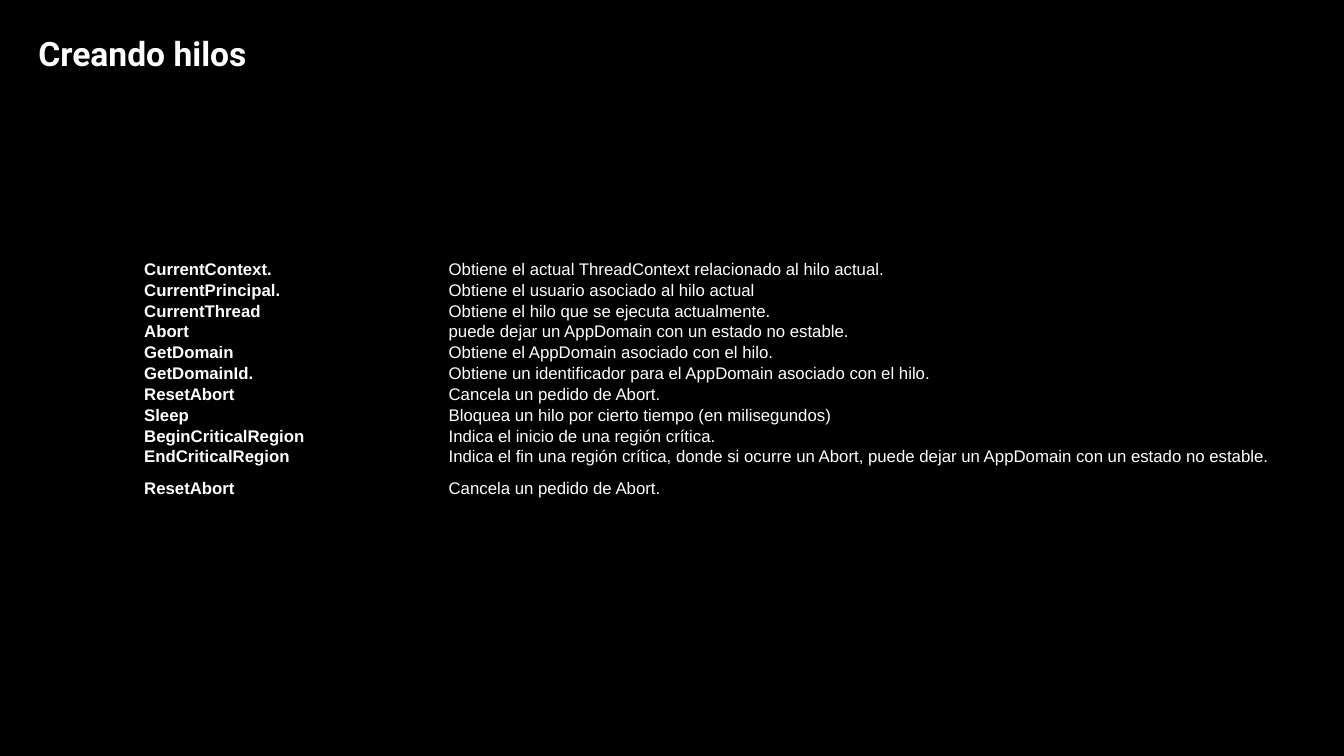
"""Build a slide that lists the thread members and what each one does."""
import dataclasses
import typing

import pptx
import pptx.dml.color
import pptx.enum.text
import pptx.oxml.ns
import pptx.presentation
import pptx.slide
import pptx.text.text
import pptx.util

Inches = pptx.util.Inches
BLACK = pptx.dml.color.RGBColor(0x00, 0x00, 0x00)
WHITE = pptx.dml.color.RGBColor(0xFF, 0xFF, 0xFF)
PLAIN_TABLE_STYLE = "{2D5ABB26-0587-4C30-8999-92F81FD0307C}"

TABLE_LEFT, TABLE_TOP = Inches(1.43), Inches(2.58)
TABLE_HEIGHT = Inches(2.38)
COLUMN_WIDTHS = (Inches(3.02), Inches(8.88))
TALL_ROW = 9
TALL_ROW_HEIGHT = Inches(0.31)

TITLE_FORMAT = {"name": "Roboto", "size": pptx.util.Pt(24), "bold": True}
MEMBER_FORMAT = {"name": "Arial", "size": pptx.util.Pt(12), "bold": True}
DESCRIPTION_FORMAT = {**MEMBER_FORMAT, "bold": False}


@dataclasses.dataclass(frozen=True)
class ThreadMember:
    name: str
    description: str


THREAD_MEMBERS = (
    ThreadMember("CurrentContext.", "Obtiene el actual ThreadContext relacionado al hilo actual."),
    ThreadMember("CurrentPrincipal.", "Obtiene el usuario asociado al hilo actual"),
    ThreadMember("CurrentThread", "Obtiene el hilo que se ejecuta actualmente."),
    ThreadMember("Abort", "puede dejar un AppDomain con un estado no estable."),
    ThreadMember("GetDomain", "Obtiene el AppDomain asociado con el hilo."),
    ThreadMember("GetDomainId.", "Obtiene un identificador para el AppDomain asociado con el hilo."),
    ThreadMember("ResetAbort", "Cancela un pedido de Abort."),
    ThreadMember("Sleep", "Bloquea un hilo por cierto tiempo (en milisegundos)"),
    ThreadMember("BeginCriticalRegion", "Indica el inicio de una región crítica."),
    ThreadMember(
        "EndCriticalRegion",
        "Indica el fin una región crítica, donde si ocurre un Abort, "
        "puede dejar un AppDomain con un estado no estable.",
    ),
    ThreadMember("ResetAbort", "Cancela un pedido de Abort."),
)


def set_attributes(target: typing.Any, values: dict[str, typing.Any]) -> None:
    for name, value in values.items():
        setattr(target, name, value)


def write_text(
    text_frame: pptx.text.text.TextFrame, text: str, font_format: dict[str, typing.Any]
) -> None:
    paragraph = text_frame.paragraphs[0]
    paragraph.alignment = pptx.enum.text.PP_ALIGN.LEFT
    run = paragraph.add_run()
    run.text = text
    set_attributes(run.font, font_format)
    run.font.color.rgb = WHITE


def add_title(slide: pptx.slide.Slide) -> None:
    title = slide.shapes.title
    set_attributes(title, {
        "left": Inches(0.28), "top": Inches(0.28),
        "width": Inches(2.46), "height": Inches(0.5),
    })
    set_attributes(title.text_frame, {
        "word_wrap": False,
        "auto_size": pptx.enum.text.MSO_AUTO_SIZE.SHAPE_TO_FIT_TEXT,
        "vertical_anchor": pptx.enum.text.MSO_ANCHOR.TOP,
    })
    write_text(title.text_frame, "Creando hilos", TITLE_FORMAT)


def add_member_table(slide: pptx.slide.Slide) -> None:
    graphic_frame = slide.shapes.add_table(
        len(THREAD_MEMBERS), len(COLUMN_WIDTHS),
        TABLE_LEFT, TABLE_TOP, sum(COLUMN_WIDTHS), TABLE_HEIGHT,
    )
    table = graphic_frame.table
    set_attributes(table, {"first_row": False, "horz_banding": False})
    style_tag = pptx.oxml.ns.qn("a:tableStyleId")
    next(graphic_frame.element.iter(style_tag)).text = PLAIN_TABLE_STYLE
    for column, width in zip(table.columns, COLUMN_WIDTHS):
        column.width = width

    row_height = (TABLE_HEIGHT - TALL_ROW_HEIGHT) // (len(THREAD_MEMBERS) - 1)
    for index, (row, member) in enumerate(zip(table.rows, THREAD_MEMBERS)):
        row.height = TALL_ROW_HEIGHT if index == TALL_ROW else row_height
        texts = (member.name, member.description)
        formats = (MEMBER_FORMAT, DESCRIPTION_FORMAT)
        for cell, text, font_format in zip(row.cells, texts, formats):
            cell.fill.background()
            set_attributes(cell, dict.fromkeys(
                ("margin_left", "margin_right", "margin_top", "margin_bottom"), Inches(0)
            ))
            write_text(cell.text_frame, text, font_format)


def build_presentation() -> pptx.presentation.Presentation:
    presentation = pptx.Presentation()
    set_attributes(presentation, {"slide_width": Inches(13.33), "slide_height": Inches(7.5)})
    slide = presentation.slides.add_slide(presentation.slide_layouts.get_by_name("Title Only"))
    slide.background.fill.solid()
    slide.background.fill.fore_color.rgb = BLACK
    add_title(slide)
    add_member_table(slide)
    return presentation


if __name__ == "__main__":
    build_presentation().save("out.pptx")
